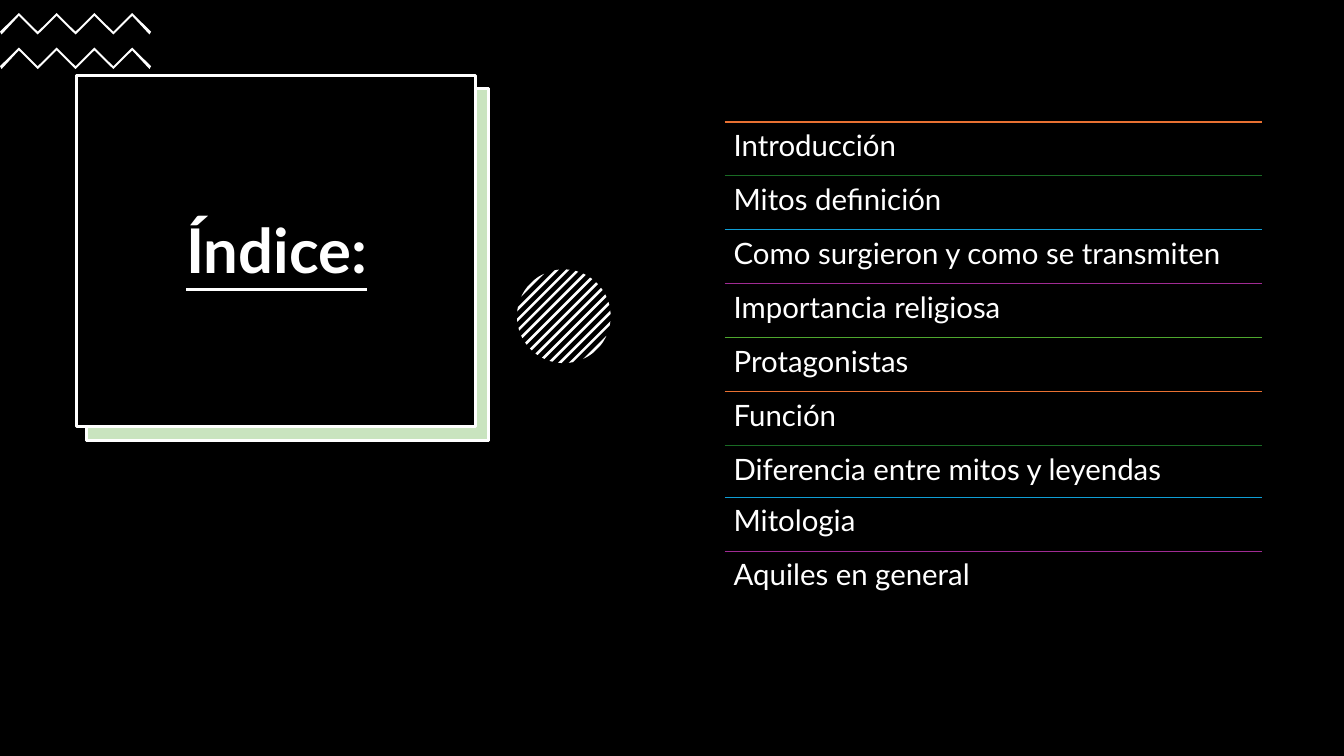
import math
from dataclasses import dataclass

from lxml import etree
from pptx import Presentation
from pptx import util as u
from pptx.dml.color import RGBColor
from pptx.enum import shapes, text
from pptx.oxml.ns import qn
from pptx.shapes import autoshape, shapetree
from pptx.text.text import TextFrame

BLACK = RGBColor(0x00, 0x00, 0x00)
WHITE = RGBColor(0xFF, 0xFF, 0xFF)
ORANGE = RGBColor(0xE9, 0x71, 0x32)
FOREST = RGBColor(0x19, 0x6B, 0x24)
BLUE = RGBColor(0x0F, 0x9E, 0xD5)
PURPLE = RGBColor(0xA0, 0x2B, 0x93)
GREEN = RGBColor(0x4E, 0xA7, 0x2E)

FONT = "Lato"
SLIDE_WIDTH, SLIDE_HEIGHT = 33.87, 19.05

Point = tuple[float, float]


@dataclass(frozen=True)
class Box:
    left: float
    top: float
    width: float
    height: float

    def lengths(self) -> tuple[u.Cm, u.Cm, u.Cm, u.Cm]:
        return u.Cm(self.left), u.Cm(self.top), u.Cm(self.width), u.Cm(self.height)


@dataclass(frozen=True)
class Topic:
    label: str
    rule_color: RGBColor
    height: float = 1.36


BACK_PANEL = Box(2.18, 2.24, 10.13, 8.86)
FRONT_PANEL = Box(1.93, 1.9, 10.06, 8.86)
TITLE = Box(2.06, 2.39, 9.83, 8.0)

TOPICS_LEFT, TOPICS_TOP, TOPICS_WIDTH = 18.26, 3.07, 13.55
TOPICS = [
    Topic("Introducción", ORANGE),
    Topic("Mitos definición", FOREST),
    Topic("Como surgieron y como se transmiten", BLUE),
    Topic("Importancia religiosa", PURPLE),
    Topic("Protagonistas", GREEN),
    Topic("Función", ORANGE),
    Topic("Diferencia entre mitos y leyendas", FOREST, height=1.3),
    Topic("Mitologia", BLUE),
    Topic("Aquiles en general", PURPLE),
]


def write(frame: TextFrame, content: str, *, size: float, bold: bool = False,
          underline: bool = False, align: text.PP_ALIGN = text.PP_ALIGN.LEFT,
          anchor: text.MSO_ANCHOR = text.MSO_ANCHOR.TOP, inset: float = 0.25) -> None:
    frame.word_wrap = True
    frame.auto_size = text.MSO_AUTO_SIZE.NONE
    frame.vertical_anchor = anchor
    frame.margin_left = frame.margin_right = u.Cm(inset)
    frame.margin_top = frame.margin_bottom = u.Cm(inset)
    paragraph = frame.paragraphs[0]
    paragraph.alignment = align
    paragraph.line_spacing = 0.9
    run = paragraph.add_run()
    run.text = content
    run.font.name = FONT
    run.font.size = u.Pt(size)
    run.font.bold = bold
    run.font.underline = underline
    run.font.color.rgb = WHITE


def add_panel(canvas: shapetree.SlideShapes, box: Box, fill: RGBColor, *,
              outlined: bool = True, opacity: int = 100) -> None:
    panel = canvas.add_shape(shapes.MSO_SHAPE.RECTANGLE, *box.lengths())
    panel.shadow.inherit = False
    panel.fill.solid()
    panel.fill.fore_color.rgb = fill
    if opacity < 100:
        color = panel.element.spPr.find(f"{qn('a:solidFill')}/{qn('a:srgbClr')}")
        etree.SubElement(color, qn("a:alpha"), val=str(opacity * 1000))
    if outlined:
        panel.line.color.rgb = WHITE
        panel.line.width = u.Pt(2.25)
    else:
        panel.line.fill.background()


def add_outline(group: shapetree.GroupShapes, points: list[Point]) -> autoshape.Shape:
    corners = [(u.Cm(x), u.Cm(y)) for x, y in points]
    builder = group.build_freeform(*corners[0])
    builder.add_line_segments(corners[1:], close=True)
    outline = builder.convert_to_shape()
    outline.shadow.inherit = False
    outline.fill.solid()
    outline.fill.fore_color.rgb = WHITE
    outline.line.fill.background()
    return outline


def add_zigzags(canvas: shapetree.SlideShapes) -> None:
    group = canvas.add_group_shape().shapes
    step, segments, depth, thickness, tip = 0.476, 8, 0.47, 0.07, 0.04
    width = step * segments
    for top in (0.33, 1.2):
        upper = [(i * step, top + depth * (i % 2 == 0)) for i in range(segments + 1)]
        lower = [(min(max(x, tip), width - tip), y + thickness)
                 for x, y in reversed(upper)]
        add_outline(group, upper + lower)


def add_striped_circle(canvas: shapetree.SlideShapes) -> None:
    """Cut evenly spaced diagonal stripes out of a circle."""
    group = canvas.add_group_shape().shapes
    center_x, center_y, radius = 14.21, 7.97, 1.18
    pitch, half_width, arc_steps = 0.19, 0.033, 6

    def rim(distance: float, side: int) -> Point:
        """Point of the circle at a distance from the middle diagonal."""
        ratio = max(-1.0, min(1.0, distance / radius))
        angle = math.pi / 4 + side * math.acos(ratio)
        return (center_x + radius * math.cos(angle),
                center_y + radius * math.sin(angle))

    for stripe in range(-6, 7):
        distances = [stripe * pitch + half_width * (2 * i / arc_steps - 1)
                     for i in range(arc_steps + 1)]
        add_outline(group, [rim(d, 1) for d in distances]
                    + [rim(d, -1) for d in reversed(distances)])


def add_topics(canvas: shapetree.SlideShapes) -> None:
    top = TOPICS_TOP
    for topic in TOPICS:
        rule = canvas.add_connector(
            shapes.MSO_CONNECTOR.STRAIGHT, u.Cm(TOPICS_LEFT), u.Cm(top),
            u.Cm(TOPICS_LEFT + TOPICS_WIDTH), u.Cm(top))
        rule.line.color.rgb = topic.rule_color
        rule.line.width = u.Pt(1)
        etree.SubElement(rule.element.spPr, qn("a:effectLst"))
        box = Box(TOPICS_LEFT, top, TOPICS_WIDTH, topic.height)
        entry = canvas.add_textbox(*box.lengths())
        write(entry.text_frame, topic.label, size=21, inset=0.23)
        top += topic.height


def add_title(canvas: shapetree.SlideShapes) -> None:
    """Place the title in front of the panels drawn so far."""
    title = canvas.title
    title.element.getparent().append(title.element)
    title.left, title.top, title.width, title.height = TITLE.lengths()
    write(title.text_frame, "Índice:", size=44, bold=True, underline=True,
          align=text.PP_ALIGN.CENTER, anchor=text.MSO_ANCHOR.MIDDLE)


def main() -> None:
    deck = Presentation()
    deck.slide_width, deck.slide_height = u.Cm(SLIDE_WIDTH), u.Cm(SLIDE_HEIGHT)
    canvas = deck.slides.add_slide(deck.slide_layouts[5]).shapes
    add_panel(canvas, Box(0, 0, SLIDE_WIDTH, SLIDE_HEIGHT), BLACK, outlined=False)
    add_panel(canvas, BACK_PANEL, WHITE)
    add_panel(canvas, BACK_PANEL, GREEN, opacity=30)
    add_panel(canvas, FRONT_PANEL, BLACK)
    add_title(canvas)
    add_zigzags(canvas)
    add_striped_circle(canvas)
    add_topics(canvas)
    deck.save("out.pptx")


if __name__ == "__main__":
    main()
